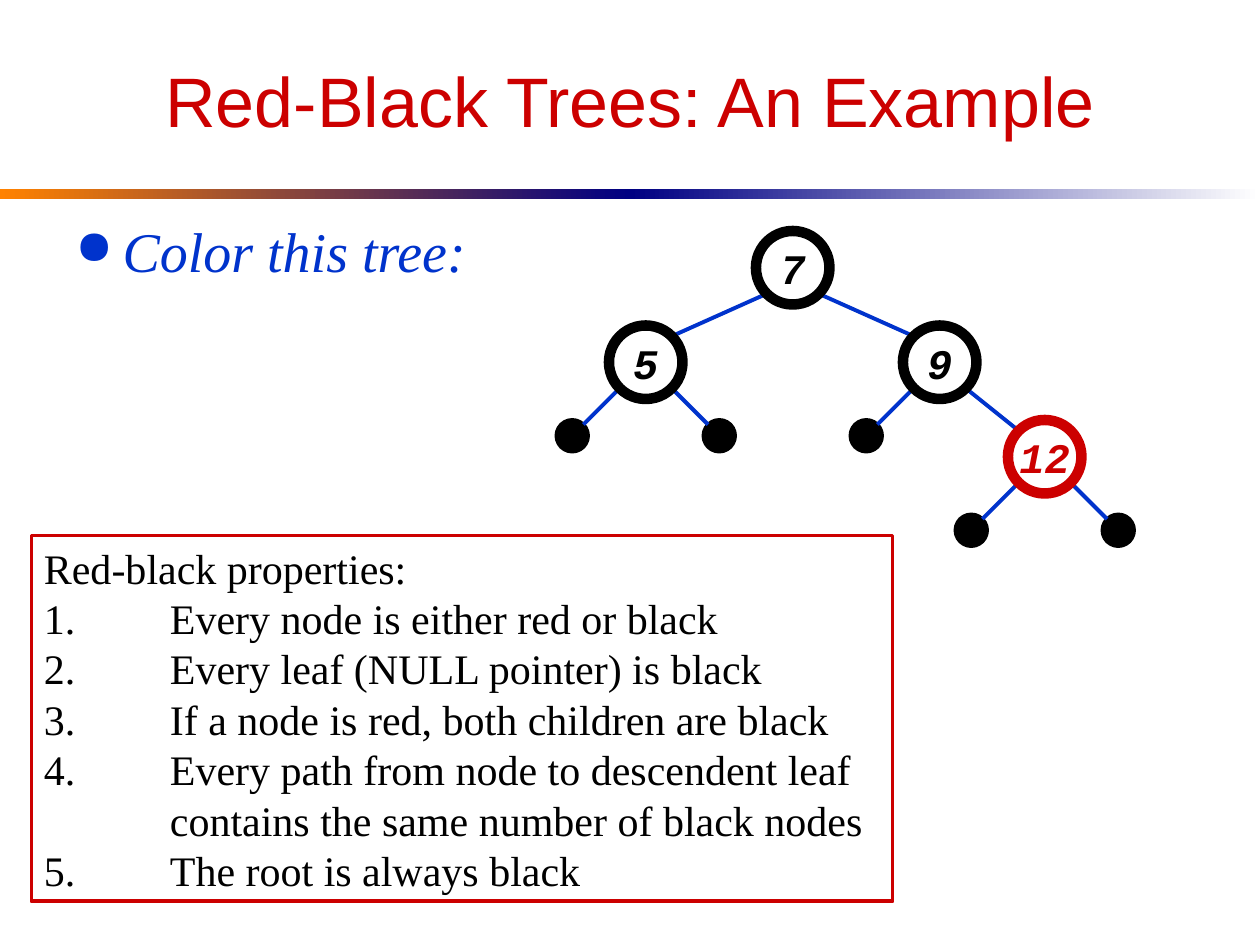
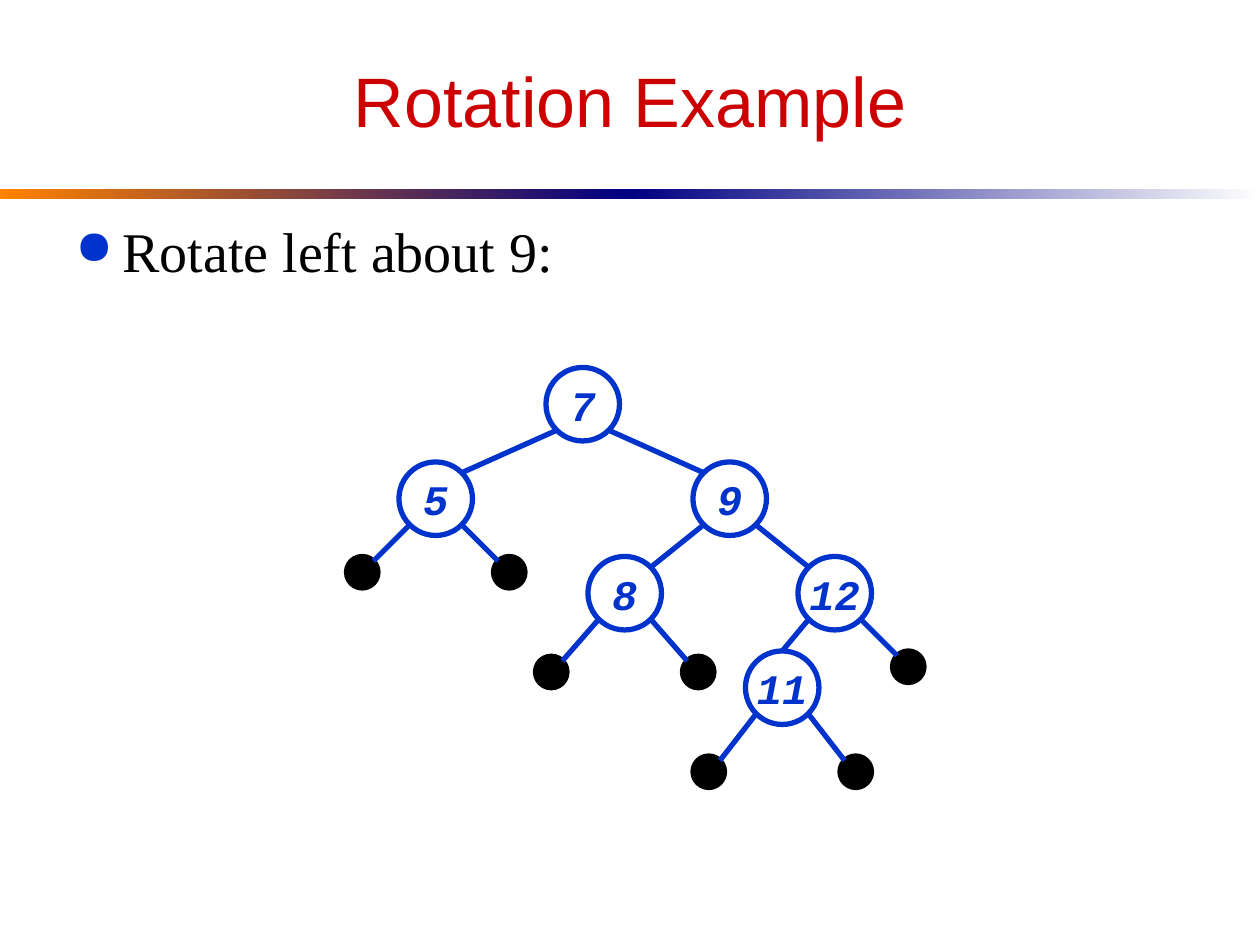
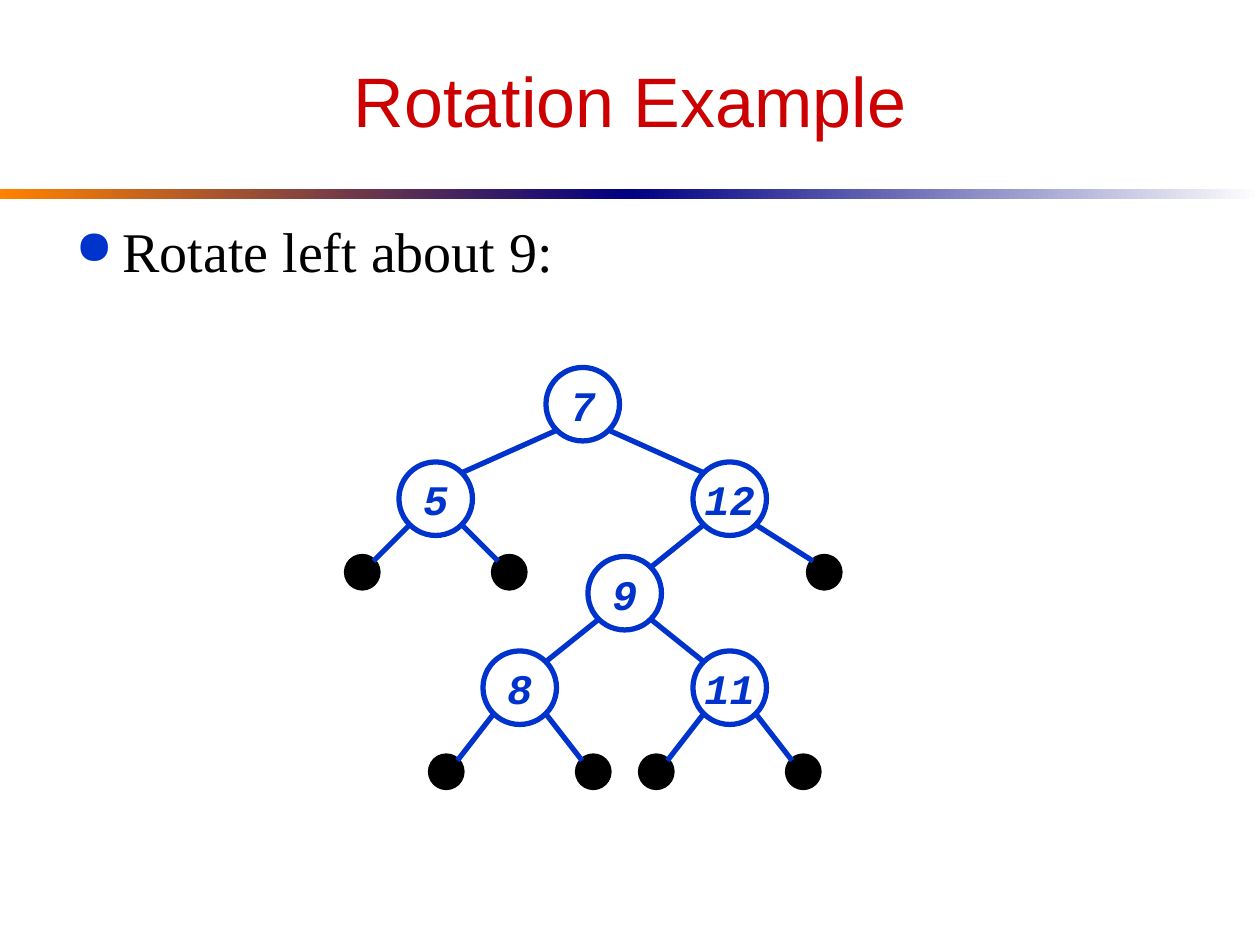
"""Build three slides on red-black trees and rotation."""
import dataclasses
import math
import typing

import lxml.etree
import pptx
import pptx.dml.color
import pptx.enum.shapes
import pptx.enum.text
import pptx.oxml.ns
import pptx.util

Pt = pptx.util.Pt
Align = pptx.enum.text.PP_ALIGN
Anchor = pptx.enum.text.MSO_ANCHOR
Preset = pptx.enum.shapes.MSO_SHAPE

RED, BLUE, BLACK, WHITE = "CC0000", "0033CC", "000000", "FFFFFF"
NAVY, ORANGE = "000082", "FF8200"
SLIDE_WIDTH, SLIDE_HEIGHT = 720, 540
NODE_RADIUS, LEAF_RADIUS = 21, 9
LEVEL_DROP = 54
DIAGONAL = math.sqrt(0.5)


@dataclasses.dataclass(frozen=True)
class Font:
    """Look of a run of text."""
    name: str
    size: float
    color: str
    bold: bool = False
    italic: bool = False


@dataclasses.dataclass(frozen=True)
class Node:
    """Tree node placed relative to its parent; a leaf has no label."""
    label: str
    shift: float
    drop: float = LEVEL_DROP
    children: tuple["Node", ...] = ()
    color: str = BLUE

    @property
    def radius(self) -> float:
        return NODE_RADIUS if self.label else LEAF_RADIUS


@dataclasses.dataclass(frozen=True)
class Tree:
    """Root node with its centre and line widths."""
    root: Node
    x: float
    y: float
    edge_width: float
    ring_width: float


class Placed(typing.NamedTuple):
    """Node with its absolute centre and its parent."""
    node: Node
    x: float
    y: float
    parent: typing.Optional["Placed"]


@dataclasses.dataclass(frozen=True)
class Page:
    """Content of one slide."""
    title: str
    bullet: str
    bullet_font: Font
    tree: Tree
    properties: tuple[str, ...] = ()


TITLE_FONT = Font("Arial", 40, RED)
BODY_FONT = Font("Times New Roman", 32, BLACK)
PROPERTY_FONT = dataclasses.replace(BODY_FONT, size=24)


def rgb(color: str) -> pptx.dml.color.RGBColor:
    """Turn a hex string into a colour."""
    return pptx.dml.color.RGBColor.from_string(color)


def add_run(paragraph, text: str, font: Font) -> None:
    """Append a formatted run."""
    run = paragraph.add_run()
    run.text = text
    run.font.name = font.name
    run.font.size = Pt(font.size)
    run.font.color.rgb = rgb(font.color)
    run.font.bold = font.bold
    run.font.italic = font.italic


def set_hanging(paragraph, indent: float):
    """Give a paragraph a hanging indent and return its properties."""
    properties = paragraph._p.get_or_add_pPr()
    properties.set("marL", str(Pt(indent)))
    properties.set("indent", str(-Pt(indent)))
    return properties


def add_preset(slide, preset, left: float, top: float, width: float, height: float):
    """Add a preset shape without shadow."""
    shape = slide.shapes.add_shape(preset, Pt(left), Pt(top), Pt(width), Pt(height))
    shape.shadow.inherit = False
    return shape


def add_band(slide, left: float, start: str, end: str) -> None:
    """Add half of the gradient band, running from right to left."""
    band = add_preset(slide, Preset.RECTANGLE, left, 108, SLIDE_WIDTH / 2, 6)
    band.line.fill.background()
    band.fill.gradient()
    band.fill.gradient_angle = 180
    for stop, color in zip(band.fill.gradient_stops, (start, end)):
        stop.color.rgb = rgb(color)


def add_text_box(slide, top: float, height: float, anchor):
    """Add a wrapping text box and return its first paragraph."""
    frame = slide.shapes.add_textbox(Pt(36), Pt(top), Pt(648), Pt(height)).text_frame
    frame.word_wrap = True
    frame.vertical_anchor = anchor
    return frame.paragraphs[0]


def add_title(slide, text: str) -> None:
    """Add the centred slide title."""
    paragraph = add_text_box(slide, 18, 78, Anchor.MIDDLE)
    paragraph.alignment = Align.CENTER
    add_run(paragraph, text, TITLE_FONT)


def add_bullet(slide, text: str, font: Font) -> None:
    """Add the bulleted body line."""
    paragraph = add_text_box(slide, 120, 342, Anchor.TOP)
    paragraph.space_before = Pt(8)
    properties = set_hanging(paragraph, 27)
    qualify = pptx.oxml.ns.qn
    color = lxml.etree.SubElement(properties, qualify("a:buClr"))
    lxml.etree.SubElement(color, qualify("a:srgbClr"), val=BLUE)
    lxml.etree.SubElement(properties, qualify("a:buSzPct"), val="85000")
    lxml.etree.SubElement(properties, qualify("a:buChar"), char="●")
    add_run(paragraph, text, font)


def place(node: Node, x: float, y: float, parent: Placed | None = None) -> list[Placed]:
    """List a node and all its descendants with their centres."""
    here = Placed(node, x, y, parent)
    placed = [here]
    for child in node.children:
        placed += place(child, x + child.shift, y + child.drop, here)
    return placed


def add_circle(slide, item: Placed, width: float) -> None:
    """Draw a labelled node or a solid leaf."""
    node, radius = item.node, item.node.radius
    circle = add_preset(slide, Preset.OVAL, item.x - radius, item.y - radius,
                        2 * radius, 2 * radius)
    circle.fill.solid()
    circle.fill.fore_color.rgb = rgb(WHITE if node.label else BLACK)
    circle.line.color.rgb = rgb(node.color)
    circle.line.width = Pt(width)
    if node.label:
        frame = circle.text_frame
        frame.word_wrap = False
        frame.vertical_anchor = Anchor.MIDDLE
        frame.paragraphs[0].alignment = Align.CENTER
        add_run(frame.paragraphs[0], node.label,
                Font("Courier New", 24, node.color, bold=True, italic=True))


def add_edge(slide, item: Placed, width: float) -> None:
    """Draw the line from a parent's lower diagonal to its child."""
    node, parent = item.node, item.parent
    side = math.copysign(DIAGONAL, node.shift)
    start_x = parent.x + side * NODE_RADIUS
    start_y = parent.y + DIAGONAL * NODE_RADIUS
    if abs(node.shift) < 2 * LEAF_RADIUS + NODE_RADIUS:
        end_x, end_y = item.x, item.y - node.radius
    else:
        end_x, end_y = item.x - side * node.radius, item.y - DIAGONAL * node.radius
    edge = slide.shapes.add_connector(pptx.enum.shapes.MSO_CONNECTOR.STRAIGHT,
                                      Pt(start_x), Pt(start_y), Pt(end_x), Pt(end_y))
    edge.line.color.rgb = rgb(BLUE)
    edge.line.width = Pt(width)
    lxml.etree.SubElement(edge._element.spPr, pptx.oxml.ns.qn("a:effectLst"))


def add_tree(slide, tree: Tree) -> None:
    """Draw leaves, then edges, then labelled nodes."""
    placed = place(tree.root, tree.x, tree.y)
    for item in placed:
        if not item.node.label:
            add_circle(slide, item, tree.edge_width)
    for item in placed:
        if item.parent:
            add_edge(slide, item, tree.edge_width)
    for item in placed:
        if item.node.label:
            add_circle(slide, item, tree.ring_width)


def add_properties(slide, heading: str, properties: tuple[str, ...]) -> None:
    """Add the framed list of numbered properties."""
    box = add_preset(slide, Preset.RECTANGLE, 18, 306, 492, 209)
    box.fill.background()
    box.line.color.rgb = rgb(RED)
    box.line.width = Pt(2.25)
    frame = box.text_frame
    frame.word_wrap = True
    frame.auto_size = pptx.enum.text.MSO_AUTO_SIZE.SHAPE_TO_FIT_TEXT
    frame.vertical_anchor = Anchor.MIDDLE
    frame.paragraphs[0].alignment = Align.LEFT
    add_run(frame.paragraphs[0], heading, PROPERTY_FONT)
    for number, text in enumerate(properties, 1):
        paragraph = frame.add_paragraph()
        paragraph.alignment = Align.LEFT
        set_hanging(paragraph, 72)
        first, *others = text.split("\n")
        add_run(paragraph, f"{number}.\t{first}", PROPERTY_FONT)
        for line in others:
            paragraph.add_line_break()
            add_run(paragraph, line, PROPERTY_FONT)


def leaf(shift: float, drop: float = 42) -> Node:
    """Make a black leaf."""
    return Node("", shift, drop, color=BLACK)


def leaves(drop: float = 42) -> tuple[Node, Node]:
    """Make a pair of leaves on both sides."""
    return leaf(-42, drop), leaf(42, drop)


def colored_tree() -> Tree:
    """Make the coloured example tree."""
    five = Node("5", -84, children=leaves(), color=BLACK)
    twelve = Node("12", 60, children=leaves(), color=RED)
    nine = Node("9", 84, children=(leaf(-42), twelve), color=BLACK)
    return Tree(Node("7", 0, children=(five, nine), color=BLACK), 453, 153, 2.25, 6)


def rotation_tree(right: Node) -> Tree:
    """Make a rotation tree with the given right subtree."""
    five = Node("5", -84, children=leaves())
    return Tree(Node("7", 0, children=(five, right)), 333, 231, 3, 3)


def tree_before() -> Tree:
    """Make the tree before the rotation."""
    eight = Node("8", -60, children=leaves(45))
    eleven = Node("11", -30, children=leaves(48))
    twelve = Node("12", 60, children=(eleven, leaf(42)))
    return rotation_tree(Node("9", 84, children=(eight, twelve)))


def tree_after() -> Tree:
    """Make the tree after the rotation."""
    eight = Node("8", -60, children=leaves(48))
    eleven = Node("11", 60, children=leaves(48))
    nine = Node("9", -60, children=(eight, eleven))
    return rotation_tree(Node("12", 84, children=(nine, leaf(54))))


def add_page(presentation, page: Page) -> None:
    """Add one slide with its shared parts and its tree."""
    slide = presentation.slides.add_slide(presentation.slide_layouts[6])
    add_band(slide, 0, NAVY, ORANGE)
    add_band(slide, SLIDE_WIDTH / 2, WHITE, NAVY)
    add_title(slide, page.title)
    add_bullet(slide, page.bullet, page.bullet_font)
    add_tree(slide, page.tree)
    if page.properties:
        add_properties(slide, "Red-black properties:", page.properties)


def main() -> None:
    """Build and save the presentation."""
    presentation = pptx.Presentation()
    presentation.slide_width = Pt(SLIDE_WIDTH)
    presentation.slide_height = Pt(SLIDE_HEIGHT)
    add_page(presentation, Page(
        "Red-Black Trees: An Example", "Color this tree:",
        dataclasses.replace(BODY_FONT, color=BLUE, italic=True), colored_tree(),
        ("Every node is either red or black",
         "Every leaf (NULL pointer) is black",
         "If a node is red, both children are black",
         "Every path from node to descendent leaf\ncontains the same number of black nodes",
         "The root is always black")))
    for tree in (tree_before(), tree_after()):
        add_page(presentation, Page("Rotation Example", "Rotate left about 9:", BODY_FONT, tree))
    presentation.save("out.pptx")


if __name__ == "__main__":
    main()
